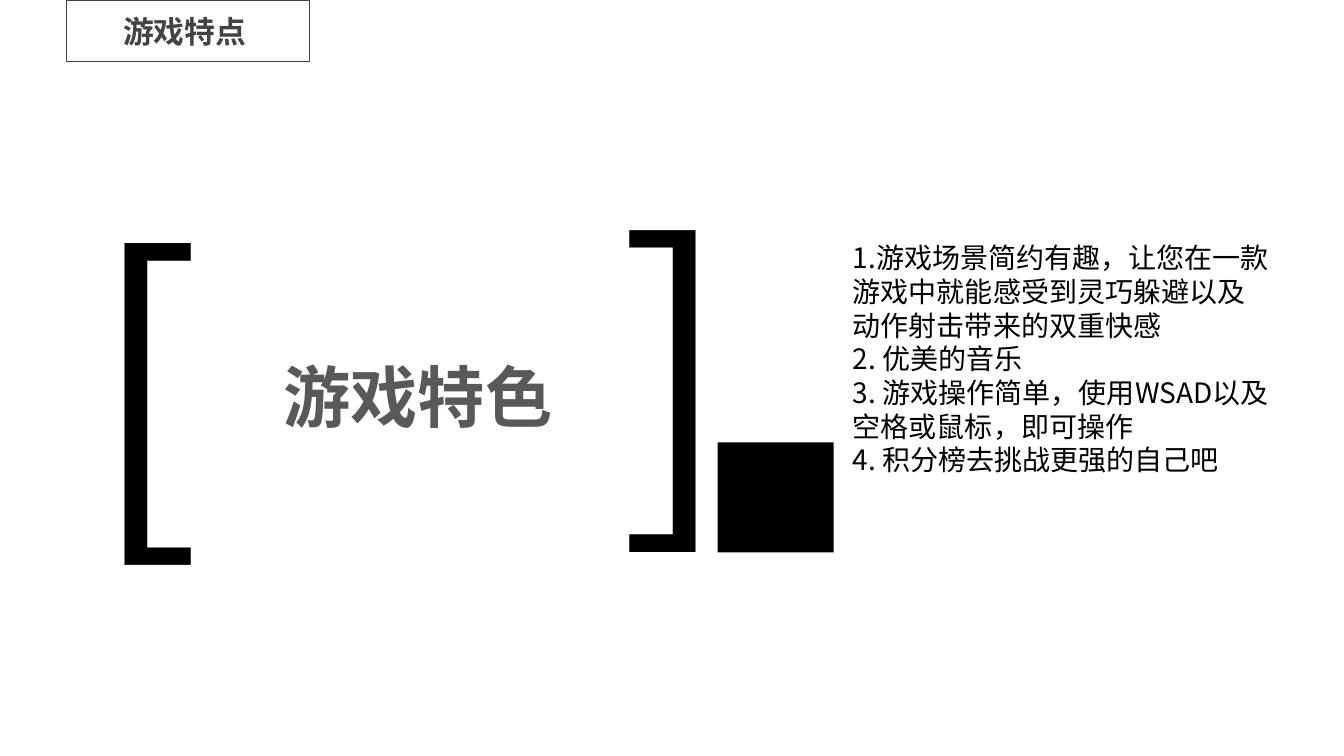
from pptx import Presentation
from pptx.dml.color import RGBColor as Rgb
from pptx.enum.shapes import MSO_SHAPE as Kind
from pptx.enum.text import MSO_ANCHOR as Anchor, MSO_AUTO_SIZE as Fit, PP_ALIGN as Align
from pptx.oxml.ns import qn
from pptx.util import Inches, Pt

INK = {"black": "000000", "dark": "434343", "grey": "595959"}
FACE = "Noto Sans CJK SC"
POINTS = [
    "1.游戏场景简约有趣，让您在一款游戏中就能感受到灵巧躲避以及动作射击带来的双重快感",
    "2. 优美的音乐",
    "3. 游戏操作简单，使用WSAD以及空格或鼠标，即可操作",
    "4. 积分榜去挑战更强的自己吧",
]


class Page:
    """One slide; every box is (left, top, width, height) in percent of its size."""

    def __init__(self, deck):
        self.wide, self.high = deck.slide_width, deck.slide_height
        self.slide = deck.slides.add_slide(deck.slide_layouts[1])
        self.shapes = self.slide.shapes

    def place(self, box):
        sizes = (self.wide, self.high) * 2
        return [int(part * size / 100) for part, size in zip(box, sizes)]

    def letter(self, shape, lines, size, ink, bold=False, align=Align.CENTER, wrap=True):
        """Fill a shape with styled paragraphs, one for each line."""
        frame = shape.text_frame
        frame.text = "\n".join(lines)
        look = {"word_wrap": wrap, "auto_size": Fit.SHAPE_TO_FIT_TEXT,
                "vertical_anchor": Anchor.TOP}
        for name, value in look.items():
            setattr(frame, name, value)
        for para in frame.paragraphs:
            para.alignment, para.space_before = align, Pt(0)
            props = para._p.get_or_add_pPr()
            props.set("marL", "0")
            props.set("indent", "0")
            props.append(props.makeelement(qn("a:buNone"), {}))
            font = para.runs[0].font
            for name, value in {"name": FACE, "size": Pt(size), "bold": bold}.items():
                setattr(font, name, value)
            font.color.rgb = Rgb.from_string(INK[ink])
            # East Asian glyphs take their face from a:ea
            latin = font._element.find(qn("a:latin"))
            latin.addnext(latin.makeelement(qn("a:ea"), {"typeface": FACE}))

    def holder(self, index, box, lines, size, ink, **style):
        shape = self.slide.placeholders[index]
        shape.left, shape.top, shape.width, shape.height = self.place(box)
        self.letter(shape, lines, size, ink, **style)

    def label(self, box, text, size, ink, turn=0, **style):
        shape = self.shapes.add_textbox(*self.place(box))
        shape.rotation = turn
        self.letter(shape, [text], size, ink, **style)

    def block(self, box, fill=None, line=None):
        shape = self.shapes.add_shape(Kind.RECTANGLE, *self.place(box))
        shape.shadow.inherit = False
        for part, ink in ((shape.fill, fill), (shape.line.fill, line)):
            if ink:
                part.solid()
                part.fore_color.rgb = Rgb.from_string(INK[ink])
            else:
                part.background()
        if line:
            shape.line.width = Pt(1)


def main():
    deck = Presentation()
    deck.slide_width, deck.slide_height = Inches(13.33), Inches(7.5)
    page = Page(deck)
    page.holder(0, (5.93, 1.07, 15.6, 6.27), ["游戏特点"], 22, "dark", bold=True)
    page.holder(1, (62.7, 31.2, 32.48, 32.4), POINTS, 20, "black", align=Align.LEFT)
    page.block((4.95, 0, 18.08, 8.13), line="dark")
    page.label((14.78, 46.4, 32.63, 12.13), "游戏特色", 48, "grey", bold=True)
    page.block((53.4, 58.53, 8.63, 14.53), fill="black")
    for left, top, turn in ((5.93, 22.4, 0), (45.3, 28, 180)):
        page.label((left, top, 9.9, 54.93), "[", 239, "black", turn, wrap=False)
    deck.save("out.pptx")


if __name__ == "__main__":
    main()
